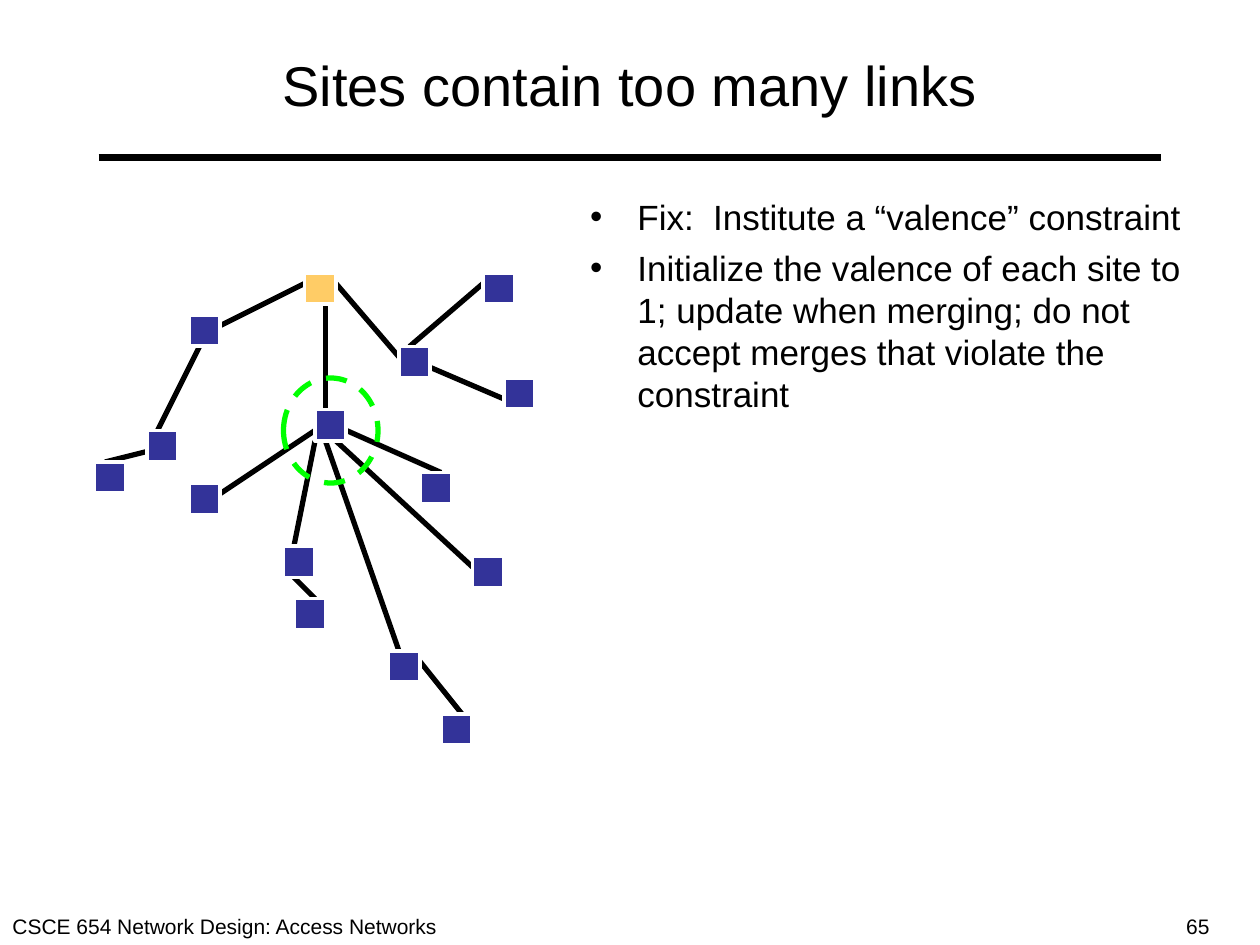
from lxml.etree import SubElement
from pptx import Presentation
from pptx.dml.color import RGBColor
from pptx.enum.dml import MSO_LINE_DASH_STYLE as Dash
from pptx.enum.shapes import MSO_CONNECTOR as Connector, MSO_SHAPE as Shape
from pptx.enum.text import MSO_ANCHOR as Anchor, MSO_AUTO_SIZE as AutoSize, PP_ALIGN as Align
from pptx.oxml.ns import qn
from pptx.util import Inches, Pt

COLUMNS, ROWS = 120, 90
WIDTH, HEIGHT = Inches(10), Inches(7.5)
FONT = "Arial"
BLACK, WHITE, BLUE, AMBER, GREEN = "000000", "FFFFFF", "333399", "FFCC66", "00FF00"
SITE_SIZE = 3
HUB = (29, 26)
SITES = [
    (37, 62), (48, 36), (46, 26), (27, 52), (30, 39), (14, 41), (18, 30), HUB,
    (40, 45), (45, 53), (42, 68), (9, 44), (18, 46), (38, 33), (28, 57),
]
LINKS = [
    (19, 33, 15, 41), (21, 31, 29, 27), (31, 29, 31, 39), (48, 38, 41, 35),
    (39, 33, 46, 27), (33, 41, 42, 45), (14, 43, 10, 44), (32, 27, 38, 34),
    (28, 55, 30, 57), (40, 63, 44, 68), (21, 47, 30, 41), (28, 52, 30, 42),
    (38, 62, 31, 42), (45, 54, 32, 42),
]
BULLETS = [
    "Fix:  Institute a “valence” constraint",
    "Initialize the valence of each site to 1; update when merging; "
    "do not accept merges that violate the constraint",
]


def color(code):
    return RGBColor.from_string(code)


def across(columns):
    return round(WIDTH * columns / COLUMNS)


def down(rows):
    return round(HEIGHT * rows / ROWS)


def area(left, top, width, height):
    return across(left), down(top), across(width), down(height)


def add_line(page, x1, y1, x2, y2, weight):
    line = page.shapes.add_connector(Connector.STRAIGHT, across(x1), down(y1), across(x2), down(y2))
    line.line.color.rgb = color(BLACK)
    line.line.width = Pt(weight)
    SubElement(line.element.spPr, qn("a:effectLst"))


def add_outlined(page, kind, place, outline, weight):
    shape = page.shapes.add_shape(kind, *area(*place))
    shape.shadow.inherit = False
    shape.line.color.rgb = color(outline)
    shape.line.width = Pt(weight)
    return shape


def add_site(page, left, top, fill):
    site = add_outlined(page, Shape.RECTANGLE, (left, top, SITE_SIZE, SITE_SIZE), WHITE, 2.25)
    site.fill.solid()
    site.fill.fore_color.rgb = color(fill)


def add_highlight(page, place):
    ring = add_outlined(page, Shape.OVAL, place, GREEN, 3)
    ring.fill.background()
    ring.line.dash_style = Dash.DASH


def add_span(para, text, size):
    span = para.add_run()
    span.text = text
    span.font.name = FONT
    span.font.size = Pt(size)
    span.font.color.rgb = color(BLACK)


def add_label(page, place, text):
    box = page.shapes.add_textbox(*area(*place))
    box.text_frame.word_wrap = True
    add_span(box.text_frame.paragraphs[0], text, 12)


def move(box, place, anchor):
    box.left, box.top, box.width, box.height = area(*place)
    frame = box.text_frame
    frame.auto_size = AutoSize.NONE
    frame.vertical_anchor = anchor
    return frame


def fill_title(box, place, text):
    para = move(box, place, Anchor.MIDDLE).paragraphs[0]
    para.alignment = Align.CENTER
    add_span(para, text, 32)


def add_bullet(para):
    properties = para._p.get_or_add_pPr()
    properties.set("marL", str(across(4.5)))
    properties.set("indent", str(-across(4.5)))
    tint = SubElement(properties, qn("a:buClr"))
    SubElement(tint, qn("a:srgbClr"), val=BLACK)
    SubElement(properties, qn("a:buFont"), typeface=FONT)
    SubElement(properties, qn("a:buChar"), char="•")


def fill_list(box, place, items):
    frame = move(box, place, Anchor.TOP)
    for index, item in enumerate(items):
        para = frame.add_paragraph() if index else frame.paragraphs[0]
        add_bullet(para)
        para.space_before = Pt(5 if index else 0)
        add_span(para, item, 20)


def main():
    deck = Presentation()
    deck.slide_width, deck.slide_height = WIDTH, HEIGHT
    page = deck.slides.add_slide(deck.slide_layouts[1])
    title, body = page.placeholders

    fill_title(title, (6, 2, 108, 12), "Sites contain too many links")
    fill_list(body, (55, 18, 59, 62.4), BULLETS)
    add_line(page, 9.4, 15, 110.6, 15, 4.5)
    add_label(page, (0, 86.4, 45, 3.6), "CSCE 654 Network Design: Access Networks")
    add_label(page, (111.8, 86.4, 8.2, 3.6), "65")

    for link in LINKS:
        add_line(page, *link, 3)
    for site in SITES:
        add_site(page, *site, AMBER if site == HUB else BLUE)
    add_highlight(page, (27, 36, 9, 10))

    deck.save("out.pptx")


if __name__ == "__main__":
    main()
